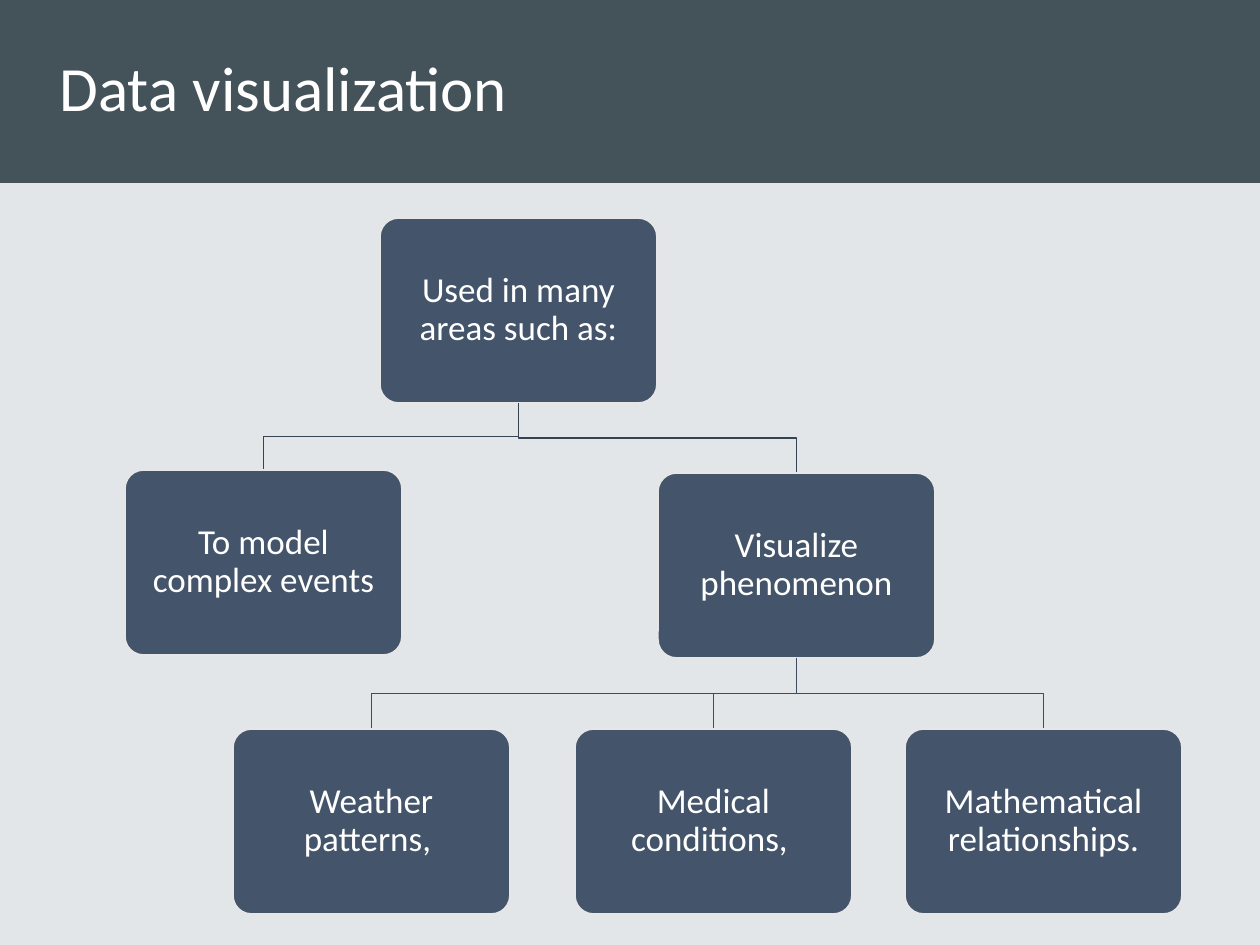
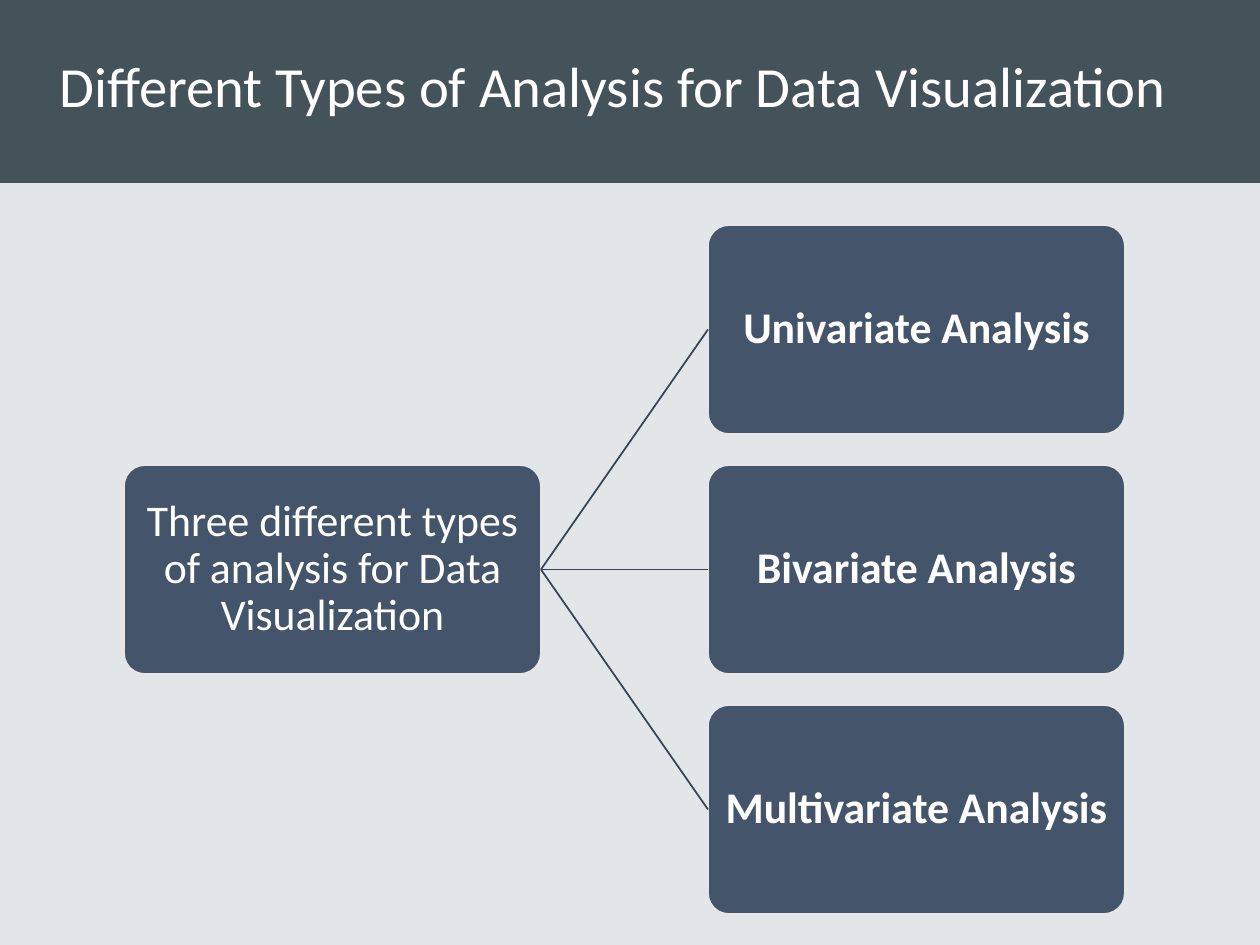
from dataclasses import dataclass

from lxml import etree
from pptx import Presentation
from pptx.dml.color import RGBColor
from pptx.enum.shapes import MSO_CONNECTOR as Line, MSO_SHAPE as Preset
from pptx.enum.text import MSO_ANCHOR as Anchor, MSO_AUTO_SIZE as AutoSize, PP_ALIGN as Align
from pptx.oxml.ns import qn
from pptx.shapes.autoshape import Shape
from pptx.slide import Slide, SlideLayout
from pptx.text.text import TextFrame
from pptx.util import Emu, Pt

PIXELS_PER_INCH = 126
PAGE_WIDTH, PAGE_HEIGHT = 1260, 945
BAND_HEIGHT = 183
TITLE_LEFT = 47
TOP, LEFT, BOTTOM, RIGHT = range(4)


@dataclass(frozen=True)
class Theme:
    page: str = "E2E6E8"
    band: str = "44525A"
    box: str = "44546A"
    box_edge: str = "E7E6E6"
    link: str = "364355"
    lower_link: str = "3E4C60"
    text: str = "FFFFFF"
    font: str = "Calibri"
    title_size: float = 36
    long_title_size: float = 32.4
    tree_size: float = 20
    types_size: float = 25
    line_width: float = 1


@dataclass(frozen=True)
class BoxStyle:
    width: int
    height: int
    margin: int
    text_size: float


@dataclass(frozen=True)
class Node:
    text: str
    left: int
    top: int
    bold: bool = False


THEME = Theme()
TREE_BOX = BoxStyle(277, 185, 10, THEME.tree_size)
TYPES_BOX = BoxStyle(417, 209, 3, THEME.types_size)

AREAS = Node("Used in many areas such as:", 380, 218)
EVENTS = Node("To model complex events", 125, 470)
PHENOMENON = Node("Visualize phenomenon", 658, 473)
PHENOMENA = (
    Node("Weather patterns, ", 233, 729),
    Node("Medical conditions, ", 575, 729),
    Node("Mathematical relationships.", 905, 729),
)

THREE_TYPES = Node("Three different types of analysis for Data Visualization", 124, 465)
ANALYSES = ("Univariate Analysis", "Bivariate Analysis", "Multivariate Analysis")
ANALYSIS_LEFT, ANALYSIS_TOP, ANALYSIS_STEP = 708, 225, 240


def px(pixels: float) -> Emu:
    return Emu(round(pixels * 914400 / PIXELS_PER_INCH))


def rgb(colour: str) -> RGBColor:
    return RGBColor.from_string(colour)


def write(frame: TextFrame, text: str, *, size: float, bold: bool = False,
          align: Align = Align.CENTER, spacing: float = 0.9) -> None:
    frame.word_wrap = True
    frame.auto_size = AutoSize.NONE
    frame.vertical_anchor = Anchor.MIDDLE
    para = frame.paragraphs[0]
    para.alignment = align
    para.line_spacing = spacing
    span = para.add_run()
    span.text = text
    span.font.name = THEME.font
    span.font.size = Pt(size)
    span.font.bold = bold
    span.font.color.rgb = rgb(THEME.text)


def add_filled(page: Slide, preset: Preset, left: int, top: int,
               width: int, height: int, colour: str) -> Shape:
    shape = page.shapes.add_shape(preset, px(left), px(top), px(width), px(height))
    shape.shadow.inherit = False
    shape.fill.solid()
    shape.fill.fore_color.rgb = rgb(colour)
    shape.line.fill.background()
    return shape


def add_box(page: Slide, node: Node, style: BoxStyle) -> Shape:
    box = add_filled(page, Preset.ROUNDED_RECTANGLE, node.left, node.top,
                     style.width, style.height, THEME.box)
    box.adjustments[0] = 0.1
    box.line.color.rgb = rgb(THEME.box_edge)
    box.line.width = Pt(THEME.line_width)
    frame = box.text_frame
    frame.margin_left = frame.margin_right = px(style.margin)
    frame.margin_top = frame.margin_bottom = px(style.margin)
    write(frame, node.text, size=style.text_size, bold=node.bold)
    return box


def add_branch(page: Slide, parent: Node, child: Node, colour: str) -> None:
    """Draw a stepped line from the parent's bottom to the child's top."""
    start_x = parent.left + TREE_BOX.width / 2
    start_y = parent.top + TREE_BOX.height
    end_x = child.left + TREE_BOX.width / 2
    middle_y = (start_y + child.top) / 2
    builder = page.shapes.build_freeform(px(start_x), px(start_y))
    corners = ((start_x, middle_y), (end_x, middle_y), (end_x, child.top))
    builder.add_line_segments([(px(x), px(y)) for x, y in corners], close=False)
    branch = builder.convert_to_shape()
    branch.shadow.inherit = False
    branch.fill.background()
    branch.line.color.rgb = rgb(colour)
    branch.line.width = Pt(THEME.line_width)


def add_link(page: Slide, source: Shape, target: Shape) -> None:
    link = page.shapes.add_connector(Line.STRAIGHT, 0, 0, 0, 0)
    link.begin_connect(source, RIGHT)
    link.end_connect(target, LEFT)
    link.line.color.rgb = rgb(THEME.link)
    link.line.width = Pt(THEME.line_width)
    etree.SubElement(link.element.spPr, qn("a:effectLst"))


def add_page(deck: Presentation, layout: SlideLayout, title: str, size: float,
             width: int, height: int) -> Slide:
    page = deck.slides.add_slide(layout)
    box = page.shapes.title
    box.left, box.top, box.width, box.height = px(TITLE_LEFT), 0, px(width), px(height)
    write(box.text_frame, title, size=size, align=Align.LEFT)
    return page


def add_band(page: Slide, layout: SlideLayout) -> None:
    """Draw the title band and hand it to the layout, behind its placeholders."""
    band = add_filled(page, Preset.RECTANGLE, 0, 0, PAGE_WIDTH, BAND_HEIGHT, THEME.band)
    layout.shapes.element.insert(2, band.element)


def build_areas(page: Slide) -> None:
    add_box(page, AREAS, TREE_BOX)
    branches = [(AREAS, EVENTS, THEME.link), (AREAS, PHENOMENON, THEME.link)]
    branches += [(PHENOMENON, child, THEME.lower_link) for child in PHENOMENA]
    for parent, child, colour in branches:
        add_branch(page, parent, child, colour)
        add_box(page, child, TREE_BOX)


def build_types(page: Slide) -> None:
    source = add_box(page, THREE_TYPES, TYPES_BOX)
    for row, name in enumerate(ANALYSES):
        node = Node(name, ANALYSIS_LEFT, ANALYSIS_TOP + row * ANALYSIS_STEP, bold=True)
        add_link(page, source, add_box(page, node, TYPES_BOX))


def main() -> None:
    deck = Presentation()
    deck.slide_width, deck.slide_height = px(PAGE_WIDTH), px(PAGE_HEIGHT)
    background = deck.slide_master.background.fill
    background.solid()
    background.fore_color.rgb = rgb(THEME.page)
    layout = deck.slide_layouts.get_by_name("Title Only")

    areas = add_page(deck, layout, "Data visualization", THEME.title_size, 1155, BAND_HEIGHT)
    add_band(areas, layout)
    build_areas(areas)

    types = add_page(deck, layout, "Different Types of Analysis for Data Visualization",
                     THEME.long_title_size, 1213, 178)
    build_types(types)
    deck.save("out.pptx")


if __name__ == "__main__":
    main()
